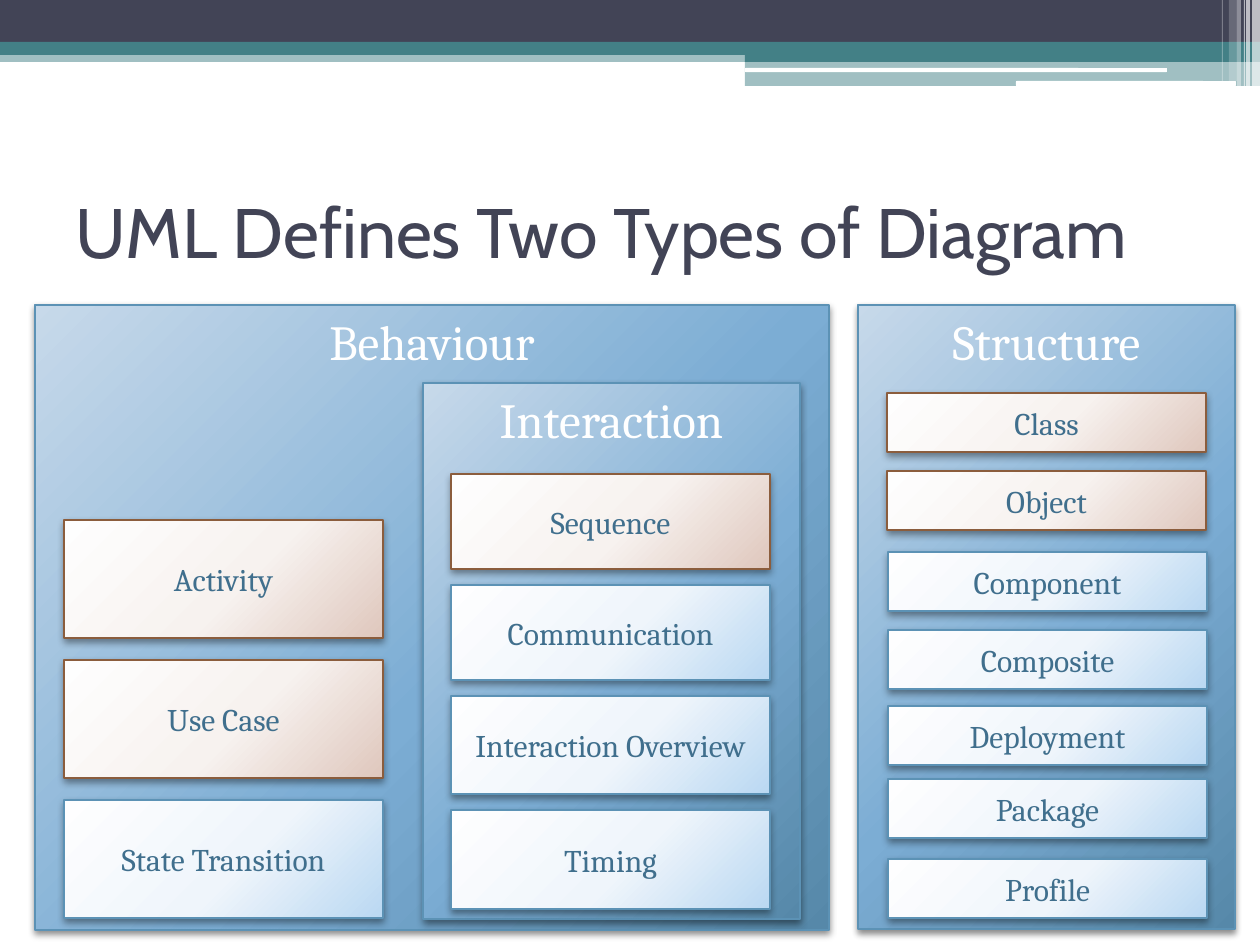
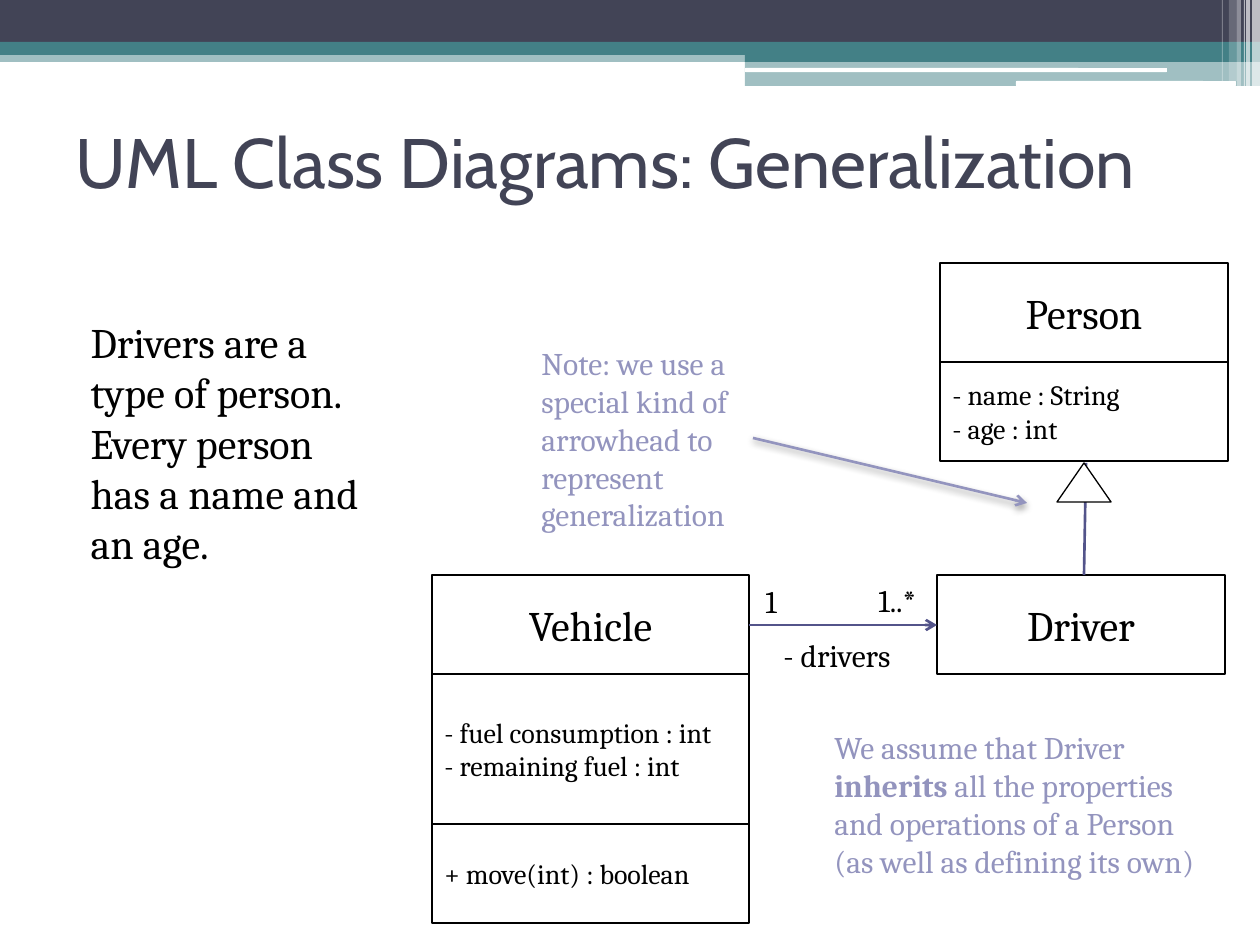
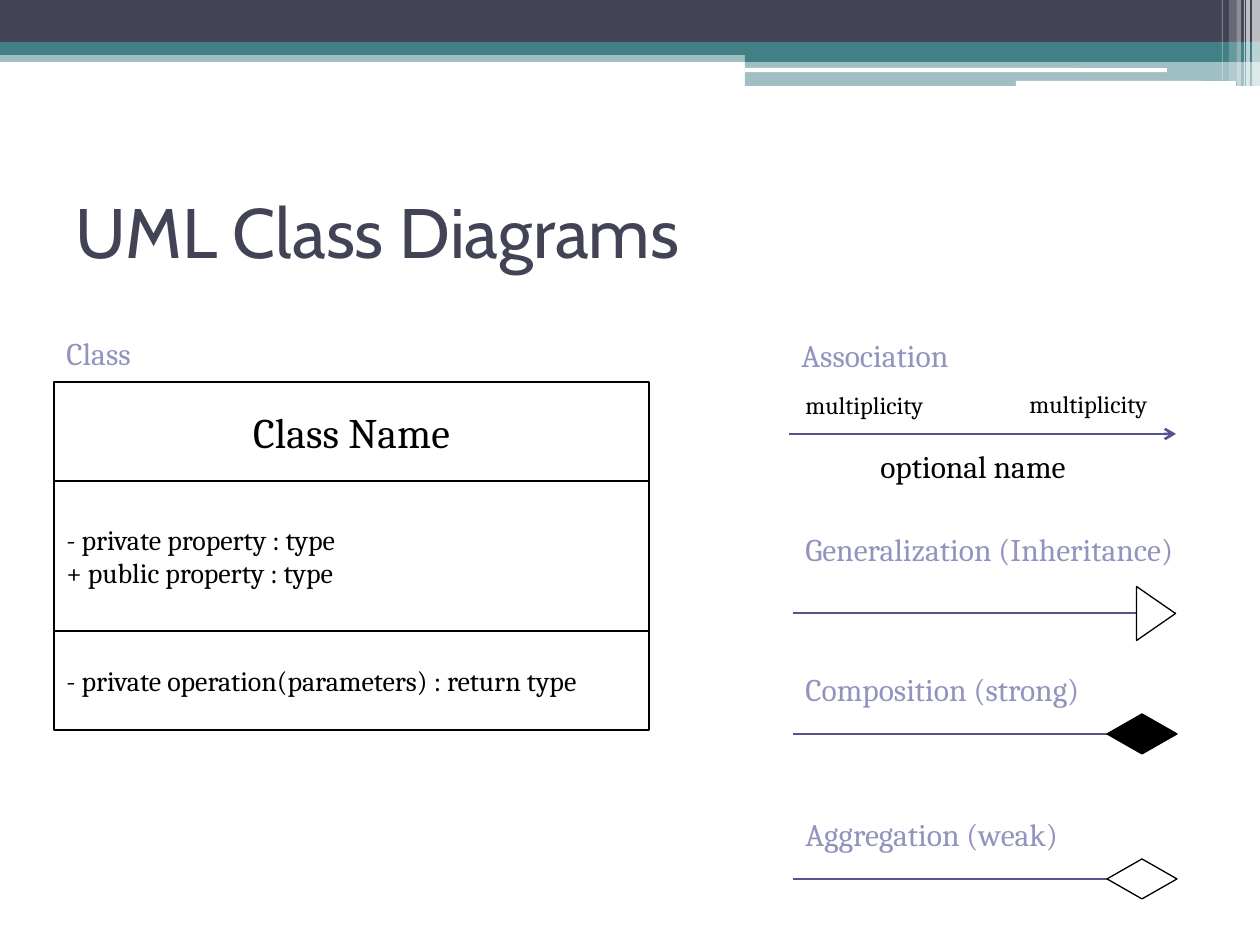
"""Build three slides on UML diagram types and class notation."""
from dataclasses import dataclass

from lxml import etree
from pptx import Presentation
from pptx import util as u
from pptx.dml import color as dc
from pptx.enum import shapes as es, text as et
from pptx.oxml import ns

SCALE = 914400 / 126
KIND = es.MSO_SHAPE
LEFT, MID = et.PP_ALIGN.LEFT, et.PP_ALIGN.CENTER


@dataclass(frozen=True)
class Style:
    """Type size, colour, face and alignment of a text."""
    size: int
    color: str
    face: str = "Cambria"
    align: et.PP_ALIGN = LEFT


@dataclass(frozen=True)
class Skin:
    """Gradient stops, outline and shadow of a filled box."""
    stops: tuple[str, str, str]
    edge: str
    alpha: int = 40
    blur: float = 4.1


@dataclass(frozen=True)
class Theme:
    """Colours, type styles and skins of the deck."""
    dark: str = "424456"
    teal: str = "438086"
    white: str = "FFFFFF"
    black: str = "000000"
    link: str = "53548A"
    soft: str = "9394BE"
    title: Style = Style(40, "424456", "Cabin")
    body: Style = Style(24, "000000")
    name: Style = Style(24, "000000", align=MID)
    member: Style = Style(16, "000000")
    label: Style = Style(18, "000000")
    small: Style = Style(14, "000000")
    note: Style = Style(18, "9394BE")
    head: Style = Style(28, "FFFFFF", align=MID)
    tile: Style = Style(18, "406F8D", align=MID)
    panel: Skin = Skin(("C7D9EA", "7CADD4", "5688A9"), "5C92B5", 45, 4)
    warm: Skin = Skin(("FEFEFE", "F7F2EF", "DFC7BD"), "8B5D3D")
    cool: Skin = Skin(("FEFEFF", "EFF5FB", "BAD8F2"), "5C92B5")


@dataclass(frozen=True)
class Box:
    """A frame in pixels."""
    x: int
    y: int
    w: int
    h: int

    def emu(self) -> list[int]:
        """Return the frame in EMU."""
        return [px(v) for v in (self.x, self.y, self.w, self.h)]


@dataclass(frozen=True)
class Band:
    """One bar of the page header."""
    box: Box
    color: str
    alpha: int = 100
    kind: KIND = KIND.RECTANGLE


@dataclass(frozen=True)
class Tile:
    """A named diagram type inside a panel."""
    text: str
    box: Box
    skin: Skin


@dataclass(frozen=True)
class Run:
    """A piece of text in one weight."""
    text: str
    bold: bool = False


@dataclass(frozen=True)
class Cell:
    """One compartment of a class box."""
    lines: tuple[str, ...]
    h: int
    style: Style


T = Theme()
BANDS = [
    Band(Box(0, 50, 1260, 12), T.teal, 50),
    Band(Box(0, 0, 1260, 43), T.dark),
    Band(Box(0, 42, 1260, 13), T.teal),
    Band(Box(745, 49, 515, 13), T.teal),
    Band(Box(745, 61, 515, 25), T.teal, 50),
    Band(Box(745, 68, 422, 4), T.white, kind=KIND.ROUNDED_RECTANGLE),
    Band(Box(1016, 81, 220, 5), T.white, kind=KIND.ROUNDED_RECTANGLE),
    *(Band(Box(x, 0, w, h), T.white, alpha) for x, w, h, alpha in (
        (1252, 8, 86, 65), (1246, 4, 86, 65), (1244, 1, 86, 60),
        (1237, 4, 86, 40), (1229, 8, 81, 20), (1222, 1, 81, 30))),
]


def px(v: float) -> int:
    """Turn pixels into EMU."""
    return round(v * SCALE)


def rgb(code: str) -> dc.RGBColor:
    """Turn a hex code into a colour."""
    return dc.RGBColor.from_string(code)


def node(top, tag: str, **attrs):
    """Append an XML child with attributes."""
    return etree.SubElement(top, ns.qn(tag), {k: str(v) for k, v in attrs.items()})


def tint(top, code: str, alpha: int = 100) -> None:
    """Append a colour with its opacity."""
    clr = node(top, "a:srgbClr", val=code)
    if alpha < 100:
        node(clr, "a:alpha", val=alpha * 1000)


def cast(fx, alpha: int = 40, blur: float = 4.1) -> None:
    """Add a soft shadow below to an effect list."""
    drop = node(fx, "a:outerShdw", blurRad=u.Pt(blur), dist=u.Pt(2),
                dir=5400000, rotWithShape=0)
    tint(drop, T.black, alpha)


def write(frame, paras: list[list[Run]], style: Style) -> None:
    """Write paragraphs run by run."""
    for i, runs in enumerate(paras):
        para = frame.paragraphs[0] if i == 0 else frame.add_paragraph()
        para.alignment = style.align
        for item in runs:
            run = para.add_run()
            run.text = item.text
            font = run.font
            font.name, font.size, font.bold = style.face, u.Pt(style.size), item.bold
            font.color.rgb = rgb(style.color)


def form(slide, kind: KIND, box: Box, fill: str | None = None,
         edge: str | None = None):
    """Draw a preset shape with a plain fill and outline."""
    shape = slide.shapes.add_shape(kind, *box.emu())
    shape.shadow.inherit = False
    if fill:
        shape.fill.solid()
        shape.fill.fore_color.rgb = rgb(fill)
    else:
        shape.fill.background()
    if edge:
        shape.line.color.rgb = rgb(edge)
        shape.line.width = u.Pt(0.75)
    else:
        shape.line.fill.background()
    return shape


def glow(slide, text: str, box: Box, skin: Skin, style: Style,
         anchor: et.MSO_ANCHOR) -> None:
    """Draw a box with a radial gradient and a shadow."""
    shape = form(slide, KIND.RECTANGLE, box, edge=skin.edge)
    props = shape.element.spPr
    grad = etree.Element(ns.qn("a:gradFill"), rotWithShape="1")
    stops = node(grad, "a:gsLst")
    for pos, code in zip((0, 55, 100), skin.stops):
        tint(node(stops, "a:gs", pos=pos * 1000), code)
    node(node(grad, "a:path", path="circle"), "a:fillToRect",
         l=-40000, t=-90000, r=140000, b=190000)
    props.replace(props.find(ns.qn("a:noFill")), grad)
    cast(props.find(ns.qn("a:effectLst")), skin.alpha, skin.blur)
    shape.text_frame.vertical_anchor = anchor
    write(shape.text_frame, [[Run(text)]], style)


def label(slide, runs: list[Run], box: Box, style: Style,
          wrap: bool = False) -> None:
    """Place a free text."""
    frame = slide.shapes.add_textbox(*box.emu()).text_frame
    frame.word_wrap = wrap
    frame.auto_size = et.MSO_AUTO_SIZE.SHAPE_TO_FIT_TEXT
    write(frame, [runs], style)


def link(slide, start: tuple[int, int], end: tuple[int, int],
         color: str = T.link, arrow: bool = False, shade: bool = False) -> None:
    """Draw a straight line with an optional arrowhead."""
    line = slide.shapes.add_connector(
        es.MSO_CONNECTOR.STRAIGHT, *(px(v) for v in start + end))
    line.line.color.rgb = rgb(color)
    line.line.width = u.Pt(1.5)
    props = line.element.spPr
    if arrow:
        node(props.find(ns.qn("a:ln")), "a:tailEnd", type="arrow")
    fx = node(props, "a:effectLst")
    if shade:
        cast(fx)


def stack(slide, x: int, y: int, w: int, cells: list[Cell]) -> None:
    """Draw a class box as compartments from the top down."""
    for cell in cells:
        shape = form(slide, KIND.RECTANGLE, Box(x, y, w, cell.h), edge=T.black)
        shape.text_frame.vertical_anchor = et.MSO_ANCHOR.MIDDLE
        write(shape.text_frame, [[Run(line)] for line in cell.lines], cell.style)
        y += cell.h


def head(text: str) -> Cell:
    """Return the name compartment of a class."""
    return Cell((text,), 99, T.name)


def part(*lines: str, h: int = 99) -> Cell:
    """Return a member compartment of a class."""
    return Cell(lines, h, T.member)


def fill(holder, text: str, box: Box, style: Style) -> None:
    """Move a placeholder and write its text."""
    holder.left, holder.top, holder.width, holder.height = box.emu()
    holder.text_frame.auto_size = et.MSO_AUTO_SIZE.NONE
    write(holder.text_frame, [[Run(text)]], style)


def page(deck, title: str, box: Box, layout: int = 5):
    """Add a slide with its title."""
    slide = deck.slides.add_slide(deck.slide_layouts[layout])
    fill(slide.shapes.title, title, box, T.title)
    slide.shapes.title.text_frame.vertical_anchor = et.MSO_ANCHOR.MIDDLE
    return slide


def dress(deck, slide) -> None:
    """Put the header bands on the master."""
    tree = deck.slide_master.shapes.element
    for i, band in enumerate(BANDS):
        shape = form(slide, band.kind, band.box, band.color)
        if band.alpha < 100:
            clr = next(shape.element.spPr.iter(ns.qn("a:srgbClr")))
            node(clr, "a:alpha", val=band.alpha * 1000)
        shape.element.nvSpPr.cNvPr.set("id", str(100 + i))
        tree.insert(2 + i, shape.element)


def types(deck) -> None:
    """Build the overview of diagram types."""
    slide = page(deck, "UML Defines Two Types of Diagram", Box(63, 157, 1134, 148))
    dress(deck, slide)
    for text, box in (("Behaviour", Box(35, 305, 794, 625)),
                      ("Interaction", Box(423, 383, 377, 536)),
                      ("Structure", Box(858, 305, 377, 624))):
        glow(slide, text, box, T.panel, T.head, et.MSO_ANCHOR.TOP)
    tiles = [Tile(text, Box(64, 520 + 140 * i, 319, 118), skin)
             for i, (text, skin) in enumerate((
                 ("Activity", T.warm), ("Use Case", T.warm),
                 ("State Transition", T.cool)))]
    tiles += [Tile(text, Box(451, y, 319, h), skin) for text, y, h, skin in (
        ("Sequence", 474, 95, T.warm), ("Communication", 585, 95, T.cool),
        ("Interaction Overview", 696, 98, T.cool), ("Timing", 810, 99, T.cool))]
    tiles += [Tile(text, Box(x, y, 319, 59), skin) for text, x, y, skin in (
        ("Class", 887, 393, T.warm), ("Object", 887, 471, T.warm),
        ("Component", 888, 552, T.cool), ("Composite", 888, 630, T.cool),
        ("Deployment", 888, 706, T.cool), ("Package", 888, 779, T.cool),
        ("Profile", 888, 859, T.cool))]
    for tile in tiles:
        glow(slide, tile.text, tile.box, tile.skin, T.tile, et.MSO_ANCHOR.MIDDLE)


def inherit(deck) -> None:
    """Build the generalization example."""
    slide = page(deck, "UML Class Diagrams: Generalization",
                 Box(63, 86, 1172, 148), layout=1)
    body = slide.placeholders[1]
    fill(body, "Drivers are a type of person. Every person has a name and an age.",
         Box(63, 310, 319, 596), T.body)
    body.text_frame.paragraphs[0].space_before = u.Pt(3)
    props = next(body.element.iter(ns.qn("a:pPr")))
    props.set("marL", str(px(15)))
    props.set("indent", "0")
    node(props, "a:buNone")
    stack(slide, 432, 575, 317, [
        head("Vehicle"),
        part("- fuel consumption : int", "- remaining fuel : int", h=150),
        part("+ move(int) : boolean")])
    stack(slide, 937, 575, 288, [head("Driver")])
    stack(slide, 940, 263, 288, [head("Person"), part("- name : String", "- age : int")])
    for text, box in (("1..*", Box(866, 575, 72, 51)), ("1", Box(753, 576, 39, 51)),
                      ("- drivers", Box(771, 630, 144, 51))):
        label(slide, [Run(text)], box, T.label)
    link(slide, (749, 625), (937, 625), arrow=True)
    link(slide, (1084, 575), (1086, 463))
    form(slide, KIND.ISOSCELES_TRIANGLE, Box(1057, 463, 54, 39), T.white, T.black)
    label(slide, [Run("Note: we use a special kind of arrowhead to represent "
                      "generalization")], Box(529, 338, 224, 204), T.note, True)
    link(slide, (753, 438), (1027, 503), T.soft, arrow=True, shade=True)
    label(slide, [Run("We assume that Driver "), Run("inherits", True),
                  Run(" all the properties and operations of a Person "
                      "(as well as defining its own)")],
          Box(822, 722, 406, 204), T.note, True)


def legend(deck) -> None:
    """Build the key to class notation."""
    slide = page(deck, "UML Class Diagrams", Box(63, 157, 1134, 148))
    stack(slide, 54, 382, 595, [
        head("Class Name"),
        part("- private property : type", "+ public property : type", h=150),
        part("- private operation(parameters) : return type")])
    for text, x, y in (("Class", 54, 328), ("Association", 789, 330),
                       ("Generalization (Inheritance)", 793, 524),
                       ("Composition (strong)", 793, 664),
                       ("Aggregation (weak)", 793, 809)):
        label(slide, [Run(text)], Box(x, y, 452, 51), T.note, True)
    for x, y in ((793, 384), (1017, 383)):
        label(slide, [Run("multiplicity")], Box(x, y, 152, 43), T.small)
    label(slide, [Run("optional name")], Box(868, 441, 228, 51), T.label)
    link(slide, (789, 434), (1176, 434), arrow=True)
    for y in (613, 734, 879):
        link(slide, (793, y), (1176, y))
    tip = form(slide, KIND.ISOSCELES_TRIANGLE, Box(1129, 594, 54, 39), T.white, T.black)
    tip.rotation = 90
    for y, color in ((714, T.black), (859, T.white)):
        form(slide, KIND.DIAMOND, Box(1107, y, 70, 40), color, T.black)


def main() -> None:
    """Build and save the deck."""
    deck = Presentation()
    deck.slide_width, deck.slide_height = px(1260), px(945)
    types(deck)
    inherit(deck)
    legend(deck)
    deck.save("out.pptx")


main()
